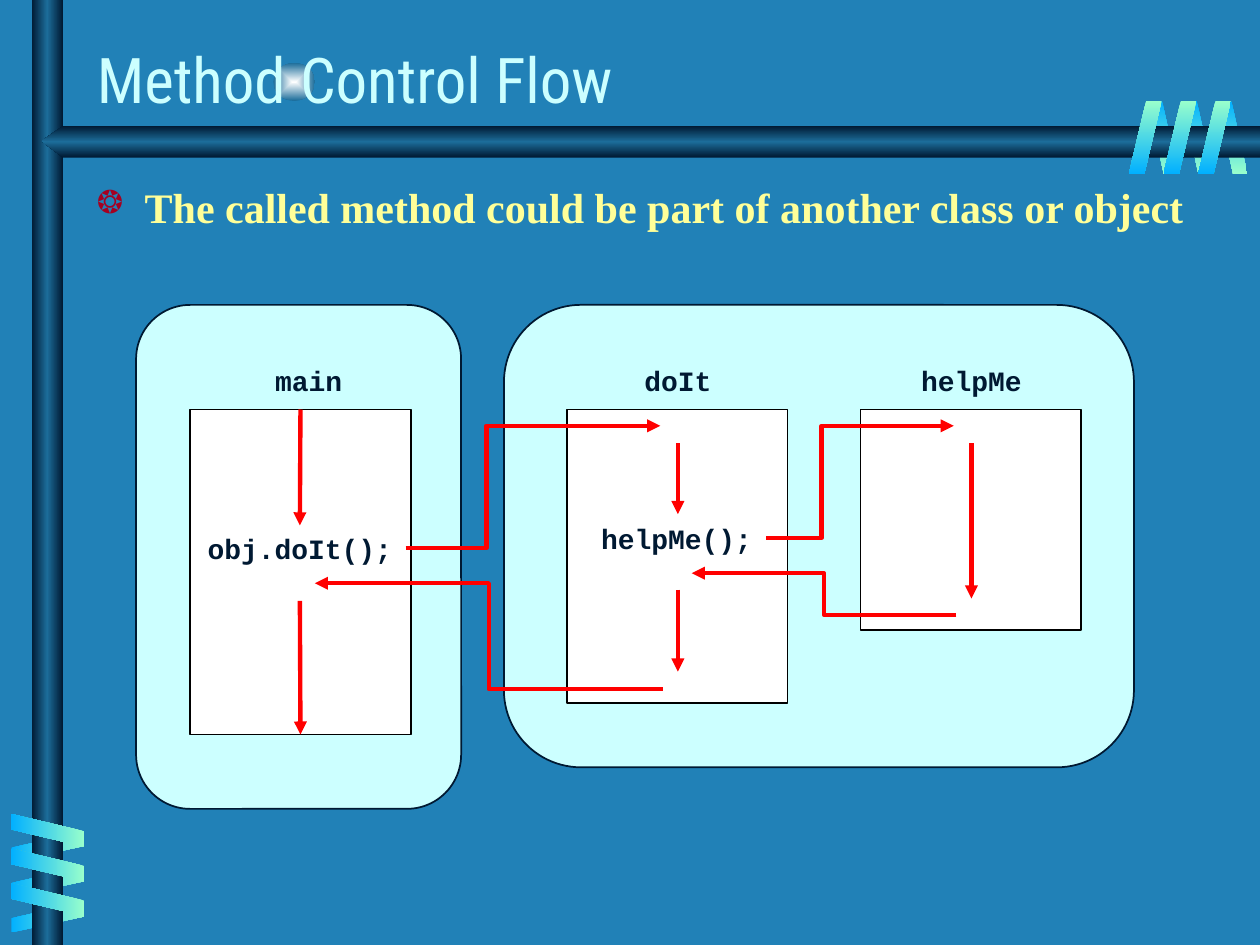
import lxml.etree
import pptx
import pptx.dml.color
import pptx.enum.shapes
import pptx.enum.text
import pptx.oxml
import pptx.oxml.ns
import pptx.util

SHAPE = pptx.enum.shapes.MSO_SHAPE
LINK = pptx.enum.shapes.MSO_CONNECTOR
ANCHOR = pptx.enum.text.MSO_ANCHOR
ALIGN = pptx.enum.text.PP_ALIGN
qn = pptx.oxml.ns.qn

# Content: positions are in grid units of 2.54 cm
TITLE = ("Method Control Flow", (0.67, 0.22, 8.3, 0.75))
BULLET = ("The called method could be part of another class or object",
          (0.67, 1.39, 9.08, 0.86))
CLASSES = [(4, 2.42, 5, 3.67), (1.08, 2.42, 2.58, 4)]
METHODS = {  # name: box left, box height, label centre
    "main": (1.51, 2.58, 2.45),
    "doIt": (4.5, 2.33, 5.38),
    "helpMe": (6.83, 1.75, 7.71),
}
CALLS = [("obj.doIt();", 2.38, 4.35), ("helpMe();", 5.37, 4.27)]
STEPS = [  # x, top, bottom, joined method, begin side, end side
    (2.38, 3.25, 4.17, "main", 0, None),
    (2.38, 4.77, 5.83, "main", None, 2),
    (7.71, 3.52, 4.75, None, None, None),
    (5.38, 3.52, 4.08, None, None, None),
    (5.38, 4.68, 5.33, None, None, None),
]
JUMPS = [  # begin, end, x of the bend
    ((5.26, 5.47), (2.5, 4.63), 3.88),
    ((6.08, 4.27), (7.57, 3.38), 6.52),
    ((3.22, 4.35), (5.24, 3.38), 3.86),
    ((7.59, 4.88), (5.49, 4.55), 6.54),
]
BOX_TOP, BOX_W, LABEL_Y, LABEL_H = 3.25, 1.75, 3.02, 0.37

THEME = {
    "bg": "2181B7", "dark": "001932", "mid": "1C6D9A", "glow": "FEFFFF",
    "blue": "01B0FF", "green": "99FFCC", "panel": "CCFFFF", "box": "FFFFFF",
    "edge": "000000", "arrow": "FF0000", "mark": "A50021",
    "title": {"name": "Roboto Condensed", "size": 36, "color": "CCFFFF"},
    "body": {"name": "Times New Roman", "size": 24, "bold": True, "color": "FFFF99"},
    "code": {"name": "Courier New", "size": 16, "bold": True, "color": "001932"},
}


def u(v):
    return pptx.util.Cm(v * 2.54)


def rgb(name):
    return pptx.dml.color.RGBColor.from_string(THEME[name])


def style(obj, values):
    for key, value in values.items():
        setattr(obj, key, value)


def shape(kind, at, fill=None, line=None):
    sp = shapes.add_shape(kind, *map(u, at))
    return finish(sp, fill, line)


def finish(sp, fill=None, line=None):
    sp.shadow.inherit = False
    if fill:
        sp.fill.solid()
        sp.fill.fore_color.rgb = rgb(fill)
    if line:
        sp.line.color.rgb = rgb(line)
        sp.line.width = pptx.util.Pt(1)
    else:
        sp.line.fill.background()
    return sp


def gradient(sp, colors, angle=None):
    """Spread the colours evenly; without an angle they run from the centre."""
    sp.fill.background()
    spPr = sp._element.spPr
    grad = lxml.etree.Element(qn("a:gradFill"), rotWithShape="0")
    stops = lxml.etree.SubElement(grad, qn("a:gsLst"))
    for i, color in enumerate(colors):
        gs = lxml.etree.SubElement(stops, qn("a:gs"),
                                   pos=str(100000 * i // (len(colors) - 1)))
        lxml.etree.SubElement(gs, qn("a:srgbClr"), val=THEME[color])
    if angle is None:
        way = lxml.etree.SubElement(grad, qn("a:path"), path="rect")
        lxml.etree.SubElement(way, qn("a:fillToRect"),
                              {side: "50000" for side in "ltrb"})
    else:
        lxml.etree.SubElement(grad, qn("a:lin"), ang=str(angle * 60000), scaled="1")
    spPr.replace(spPr.find(qn("a:noFill")), grad)


def coil(left, top, dx, dy, width, rotation, colors, angle, flip=False):
    for i in range(3):
        sp = shape(SHAPE.PARALLELOGRAM, (left + i * dx, top + i * dy, width, 0.58))
        sp.adjustments[0] = 0.53
        sp.rotation = rotation
        if flip:
            sp._element.spPr.find(qn("a:xfrm")).set("flipH", "1")
        gradient(sp, colors, angle)


def text(words, at, font, frame, align=ALIGN.LEFT):
    tf = shapes.add_textbox(*map(u, at)).text_frame
    style(tf, frame)
    p = tf.paragraphs[0]
    p.alignment = align
    r = p.add_run()
    r.text = words
    values = dict(THEME[font])
    r.font.color.rgb = pptx.dml.color.RGBColor.from_string(values.pop("color"))
    style(r.font, {**values, "size": pptx.util.Pt(values["size"])})
    return p


def code(words, x, y):
    width = 0.2 + len(words) * 0.133
    text(words, (x - width / 2, y - LABEL_H / 2, width, LABEL_H), "code",
         {"word_wrap": False, "vertical_anchor": ANCHOR.MIDDLE}, ALIGN.CENTER)


def arrow(kind, begin, end):
    c = shapes.add_connector(kind, *map(u, begin + end))
    c.line.color.rgb = rgb("arrow")
    c.line.width = pptx.util.Pt(2.5)
    lxml.etree.SubElement(c.line._get_or_add_ln(), qn("a:tailEnd"), type="triangle")
    lxml.etree.SubElement(c._element.spPr, qn("a:effectLst"))
    return c


prs = pptx.Presentation()
prs.slide_width, prs.slide_height = u(10), u(7.5)
slide = prs.slides.add_slide(prs.slide_layouts[6])
shapes = slide.shapes
slide.background.fill.solid()
slide.background.fill.fore_color.rgb = rgb("bg")

# Glow and the far side of both coils
gradient(shape(SHAPE.OVAL, (2.17, 0.5, 0.33, 0.3)), ["glow", "mid"])
coil(9.66, 0.8, -0.275, 0, 0.24, 180, ["blue", "green"], 90, flip=True)
coil(0.26, 6.43, 0, 0.28, 0.24, 90, ["blue", "green"], 180, flip=True)

# Crossing bars
bar = ["dark", "mid", "dark"]
gradient(shape(SHAPE.RECTANGLE, (0.25, 0, 0.25, 7.5)), bar, 180)
fb = shapes.build_freeform(u(10), u(1))
fb.add_line_segments([(u(x), u(y)) for x, y in
                      [(0.5, 1), (0.33, 1.12), (0.5, 1.25), (10, 1.25)]])
gradient(finish(fb.convert_to_shape()), bar, 90)

# Near side of both coils
coil(0.25, 6.3, 0, 0.275, 0.26, 270, ["green", "blue"], 180)
coil(9.51, 0.8, -0.275, 0, 0.26, 0, ["green", "blue"], 90)

# Classes, methods and calls
for at in CLASSES:
    shape(SHAPE.FLOWCHART_ALTERNATE_PROCESS, at, "panel", "dark")
boxes = {}
for name, (left, height, centre) in METHODS.items():
    boxes[name] = shape(SHAPE.RECTANGLE, (left, BOX_TOP, BOX_W, height), "box", "edge")
    code(name, centre, LABEL_Y)
for call in CALLS:
    code(*call)

# Title and bullet
text(*TITLE, "title", {"word_wrap": True, "vertical_anchor": ANCHOR.BOTTOM})
p = text(*BULLET, "body", {"word_wrap": True, "vertical_anchor": ANCHOR.TOP})
p.space_before = pptx.util.Pt(6)
pPr = p._p.get_or_add_pPr()
pPr.set("marL", str(u(0.38)))
pPr.set("indent", str(-u(0.38)))
buClr = lxml.etree.SubElement(pPr, qn("a:buClr"))
lxml.etree.SubElement(buClr, qn("a:srgbClr"), val=THEME["mark"])
lxml.etree.SubElement(pPr, qn("a:buSzPct"), val="75000")
lxml.etree.SubElement(pPr, qn("a:buChar"), char="❂")

# Flow within a method
for x, top, bottom, method, begin, end in STEPS:
    c = arrow(LINK.STRAIGHT, (x, top), (x, bottom))
    if begin is not None:
        c.begin_connect(boxes[method], begin)
    if end is not None:
        c.end_connect(boxes[method], end)

# Flow between methods
for begin, end, bend in JUMPS:
    c = arrow(LINK.ELBOW, begin, end)
    share = (bend - begin[0]) / (end[0] - begin[0])
    avLst = c._element.spPr.find(qn("a:prstGeom")).find(qn("a:avLst"))
    lxml.etree.SubElement(avLst, qn("a:gd"), name="adj1",
                          fmla=f"val {round(share * 100000)}")

prs.save("out.pptx")
